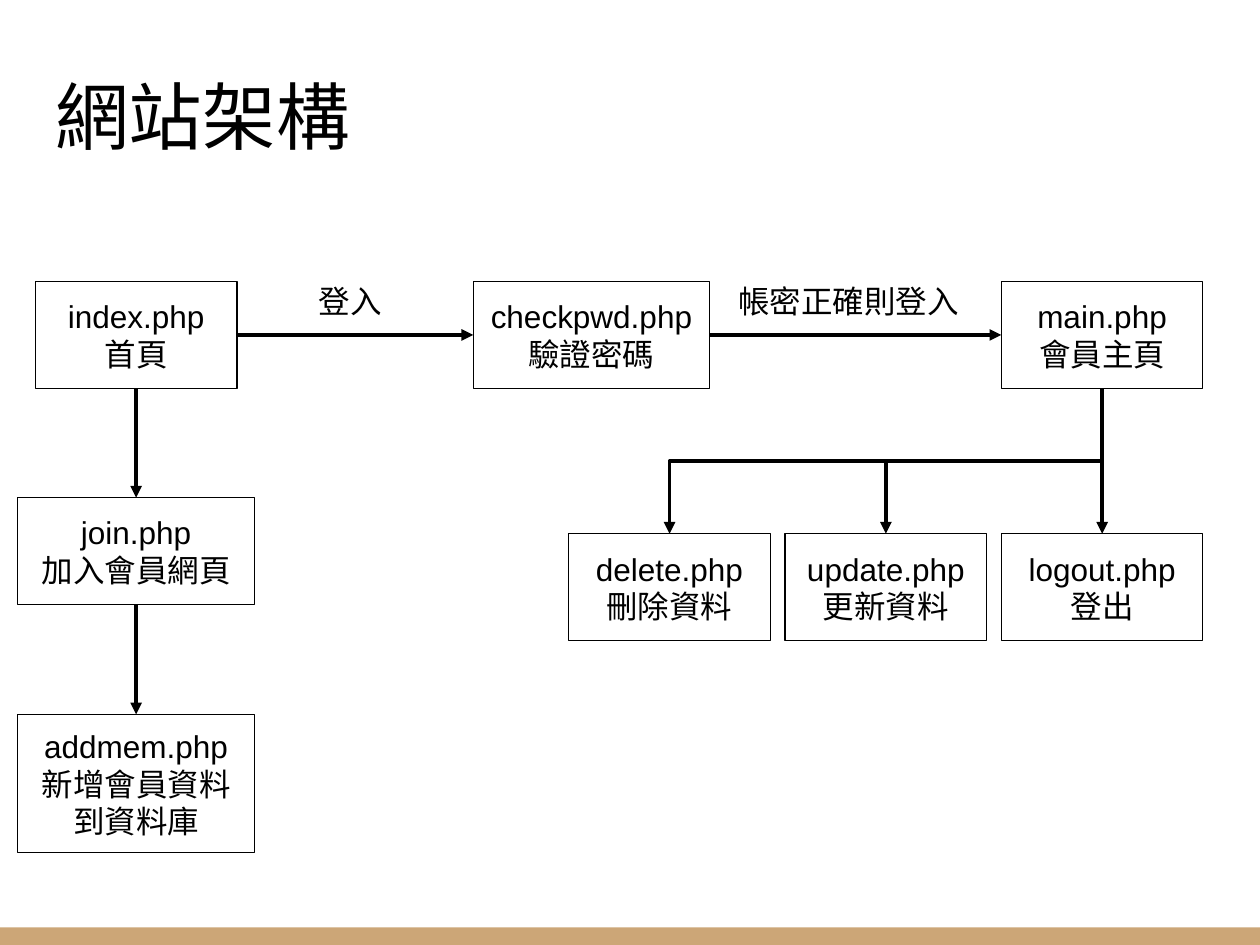
"""Build the website structure slide: PHP pages and the flow between them."""
from dataclasses import dataclass

from lxml.etree import SubElement
from pptx import Presentation
from pptx.dml.color import RGBColor
from pptx.enum.shapes import MSO_CONNECTOR as Connector, MSO_SHAPE as Preset
from pptx.enum.text import MSO_ANCHOR as Anchor, MSO_AUTO_SIZE as AutoSize, PP_ALIGN as Align
from pptx.oxml.ns import qn
from pptx.util import Pt


@dataclass(frozen=True)
class Theme:
    ink: RGBColor = RGBColor(0, 0, 0)
    bar: RGBColor = RGBColor(0xCC, 0xA6, 0x77)
    title_font: str = "Roboto"
    body_font: str = "Arial"
    title_size: int = 42
    body_size: int = 18
    box_line: float = 0.75
    arrow_line: float = 2.25
    inset: float = 7.2


theme = Theme()


def write_text(shape, text, font=theme.body_font, size=theme.body_size,
               align=Align.LEFT, anchor=Anchor.TOP):
    frame = shape.text_frame
    frame.text = text
    frame.word_wrap = True
    frame.auto_size = AutoSize.NONE
    frame.vertical_anchor = anchor
    frame.margin_left = frame.margin_right = Pt(theme.inset)
    frame.margin_top = frame.margin_bottom = Pt(theme.inset)
    for paragraph in frame.paragraphs:
        paragraph.alignment = align
        for run in paragraph.runs:
            run.font.name = font
            run.font.size = Pt(size)
            run.font.color.rgb = theme.ink
            SubElement(run.font._element, qn("a:ea"), typeface=font)


def connect(kind, start, start_site, end, end_site):
    connector = slide.shapes.add_connector(kind, 0, 0, 0, 0)
    connector.begin_connect(start, start_site)
    connector.end_connect(end, end_site)
    connector.line.color.rgb = theme.ink
    connector.line.width = Pt(theme.arrow_line)
    SubElement(connector.line._get_or_add_ln(), qn("a:tailEnd"), type="triangle")
    SubElement(connector._element.spPr, qn("a:effectLst"))
    return connector


presentation = Presentation()
presentation.slide_width, presentation.slide_height = Pt(720), Pt(540)
slide = presentation.slides.add_slide(presentation.slide_layouts[5])

bar = slide.shapes.add_shape(Preset.RECTANGLE, 0, Pt(530), Pt(720), Pt(10))
bar.shadow.inherit = False
bar.fill.solid()
bar.fill.fore_color.rgb = theme.bar
bar.line.fill.background()

title = slide.shapes.title
title.left, title.top, title.width, title.height = Pt(24.5), Pt(36.7), Pt(671), Pt(61.2)
write_text(title, "網站架構", font=theme.title_font, size=theme.title_size, anchor=Anchor.BOTTOM)

left_center, right_center, column_step = 77.8, 629.8, 123.6
top_row, join_row, action_row, addmem_row = 160.8, 284.4, 305, 408.2
narrow, wide, box_height = 115.2, 135.2, 61.2

pages = [
    ("index", "首頁", left_center, top_row, narrow, box_height),
    ("checkpwd", "驗證密碼", 338, top_row, wide, box_height),
    ("main", "會員主頁", right_center, top_row, narrow, box_height),
    ("join", "加入會員網頁", left_center, join_row, wide, box_height),
    ("addmem", "新增會員資料到資料庫", left_center, addmem_row, wide, 79.2),
]
actions = [("logout", "登出"), ("update", "更新資料"), ("delete", "刪除資料")]
for column, (name, caption) in enumerate(actions):
    center = right_center - column * column_step
    pages.append((name, caption, center, action_row, narrow, box_height))

boxes = {}
for name, caption, center, top, width, height in pages:
    box = slide.shapes.add_shape(
        Preset.RECTANGLE, Pt(center - width / 2), Pt(top), Pt(width), Pt(height))
    box.shadow.inherit = False
    box.fill.background()
    box.line.color.rgb = theme.ink
    box.line.width = Pt(theme.box_line)
    write_text(box, f"{name}.php\n{caption}", align=Align.CENTER, anchor=Anchor.MIDDLE)
    boxes[name] = box

for caption, left, width in [("登入", 175, 56.2), ("帳密正確則登入", 414.7, 145.4)]:
    label = slide.shapes.add_textbox(Pt(left), Pt(154.1), Pt(width), Pt(37.4))
    write_text(label, caption)

for start, start_site, end, end_site in [
    ("index", 3, "checkpwd", 1),
    ("checkpwd", 3, "main", 1),
    ("index", 2, "join", 0),
    ("join", 2, "addmem", 0),
]:
    connect(Connector.STRAIGHT, boxes[start], start_site, boxes[end], end_site)

drop = action_row - top_row - box_height
for column, (name, caption) in enumerate(actions):
    elbow = connect(Connector.ELBOW, boxes["main"], 2, boxes[name], 0)
    spread = column * column_step
    elbow.left = Pt(right_center - spread / 2 - drop / 2)
    elbow.top = Pt(action_row - drop / 2 - spread / 2)
    elbow.width, elbow.height = Pt(drop), Pt(spread)
    transform = elbow._element.spPr.find(qn("a:xfrm"))
    transform.attrib.pop("flipH", None)
    transform.set("rot", str(90 * 60000))

presentation.save("out.pptx")
